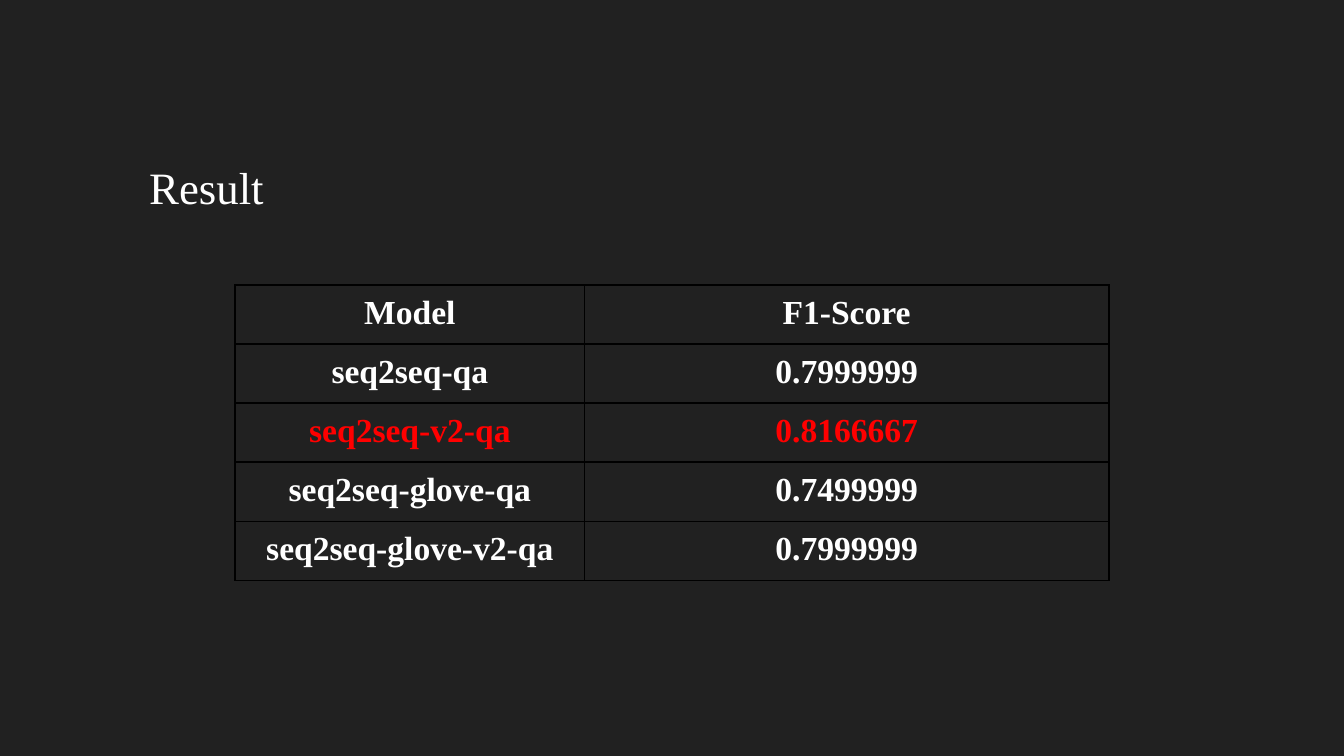
from lxml.etree import SubElement
from pptx import Presentation
from pptx.dml.color import RGBColor
from pptx.enum.text import MSO_ANCHOR, PP_ALIGN
from pptx.oxml.ns import qn
from pptx.util import Inches, Pt

BACKGROUND = RGBColor(0x21, 0x21, 0x21)
WHITE = RGBColor(0xFF, 0xFF, 0xFF)
RED = RGBColor(0xFF, 0x00, 0x00)
BLACK = RGBColor(0x00, 0x00, 0x00)
FONT = "Times New Roman"

SCORES = [
    ("Model", "F1-Score"),
    ("seq2seq-qa", "0.7999999"),
    ("seq2seq-v2-qa", "0.8166667"),
    ("seq2seq-glove-qa", "0.7499999"),
    ("seq2seq-glove-v2-qa", "0.7999999"),
]
BEST_MODEL = "seq2seq-v2-qa"


def add_run(paragraph, text, size, color, bold=False):
    run = paragraph.add_run()
    run.text = text
    run.font.name = FONT
    run.font.size = Pt(size)
    run.font.bold = bold
    run.font.color.rgb = color


def add_borders(cell):
    properties = cell._tc.get_or_add_tcPr()
    for position, side in enumerate(("lnL", "lnR", "lnT", "lnB")):
        line = SubElement(properties, qn(f"a:{side}"), w=str(Pt(1)))
        fill = SubElement(line, qn("a:solidFill"))
        SubElement(fill, qn("a:srgbClr"), val=str(BLACK))
        properties.remove(line)
        properties.insert(position, line)


def add_title(slide, left, top, width, height):
    box = slide.shapes.add_textbox(Inches(left), Inches(top), Inches(width), Inches(height))
    frame = box.text_frame
    frame.word_wrap = True
    frame.margin_left = Inches(0.77)
    frame.margin_right = frame.margin_top = frame.margin_bottom = Inches(0.1)
    paragraph = frame.paragraphs[0]
    paragraph.line_spacing = 1.15
    add_run(paragraph, "Result", 24, WHITE)


def add_score_table(slide, left, top, width, height, column_widths, row_height):
    shape = slide.shapes.add_table(
        len(SCORES), len(column_widths),
        Inches(left), Inches(top), Inches(width), Inches(height),
    )
    table = shape.table
    for column, column_width in zip(table.columns, column_widths):
        column.width = Inches(column_width)
    for row, values in zip(table.rows, SCORES):
        row.height = Inches(row_height)
        color = RED if values[0] == BEST_MODEL else WHITE
        for cell, text in zip(row.cells, values):
            cell.fill.background()
            add_borders(cell)
            cell.margin_left = cell.margin_right = Inches(0.07)
            cell.margin_top = cell.margin_bottom = Inches(0.07)
            cell.vertical_anchor = MSO_ANCHOR.TOP
            paragraph = cell.text_frame.paragraphs[0]
            paragraph.alignment = PP_ALIGN.CENTER
            add_run(paragraph, text, 18, color, bold=True)
    shape.width = Inches(width)
    shape.height = Inches(height)


def main():
    presentation = Presentation()
    presentation.slide_width = Inches(10)
    presentation.slide_height = Inches(10) * 9 // 16
    slide = presentation.slides.add_slide(presentation.slide_layouts[6])
    slide.background.fill.solid()
    slide.background.fill.fore_color.rgb = BACKGROUND
    add_title(slide, 0.34, 1.03, 9.32, 3.74)
    add_score_table(slide, 1.75, 2.12, 3.28, 3.28, (2.6, 3.9), 0.01)
    presentation.save("out.pptx")


if __name__ == "__main__":
    main()
